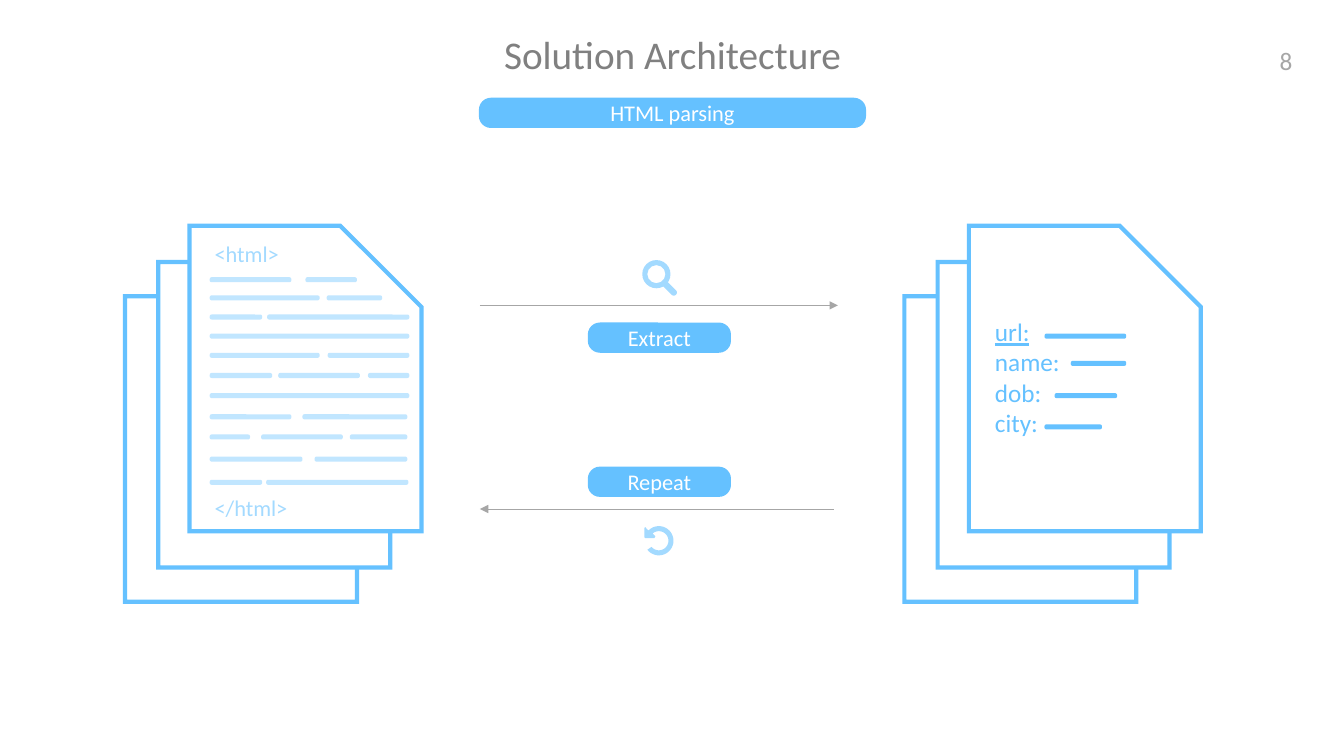
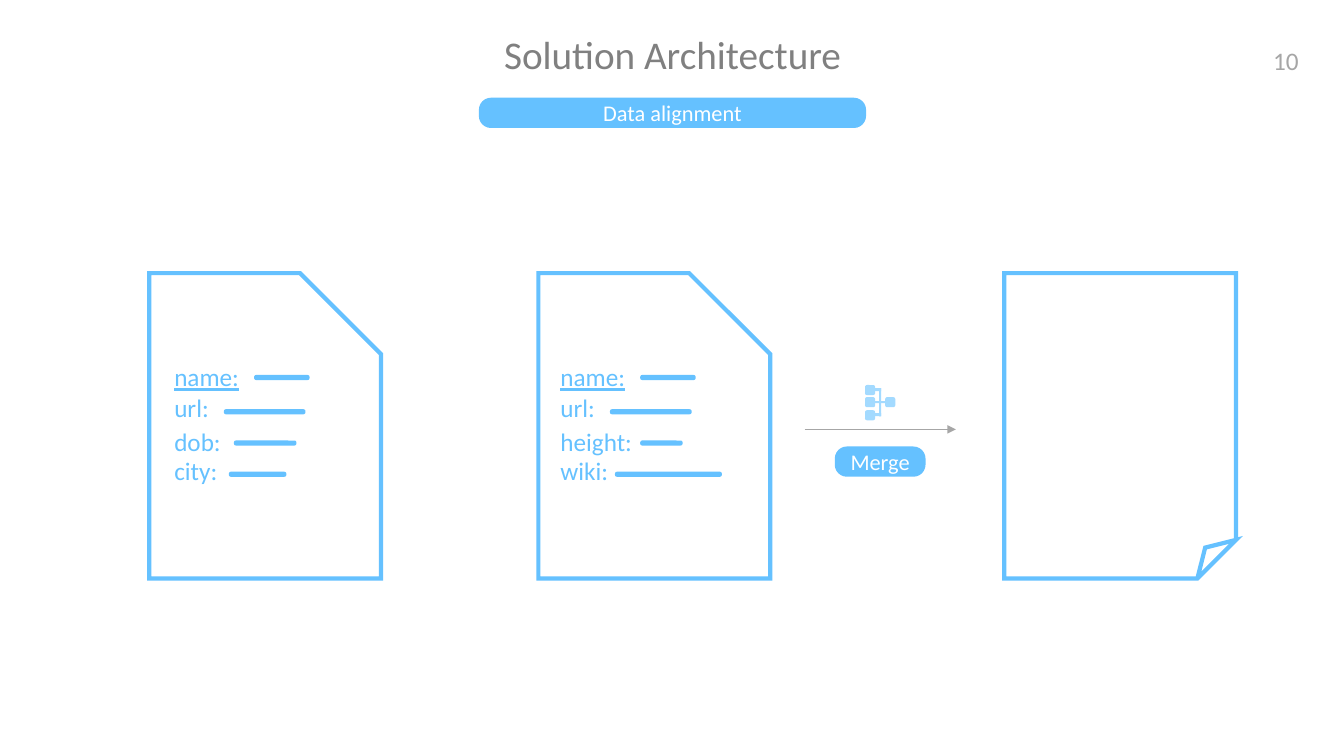
from math import cos, sin, radians

from lxml.etree import SubElement
from pptx import Presentation
from pptx.dml.color import RGBColor
from pptx.enum.shapes import MSO_CONNECTOR as LINK, MSO_SHAPE as SHAPE
from pptx.enum.text import MSO_ANCHOR as ANCHOR, PP_ALIGN as ALIGN
from pptx.oxml.ns import qn
from pptx.util import Pt

PX = 9144
FONT = "Calibri"
BLUE = RGBColor(0x65, 0xC1, 0xFF)
SKY = RGBColor(0xA3, 0xDA, 0xFF)
PALE = RGBColor(0xC1, 0xE6, 0xFF)
GRAY = RGBColor(0x80, 0x80, 0x80)
SILVER = RGBColor(0xA6, 0xA6, 0xA6)
WHITE = RGBColor(0xFF, 0xFF, 0xFF)

PAGE_W, PAGE_H = 230, 303
BAR_H = 5
PILL_H = 30
ROUND = 0.4

CODE = [
    (275, [(208, 81), (303, 51)]),
    (293, [(208, 109), (324, 55)]),
    (312, [(208, 52), (265, 141)]),
    (331, [(208, 198)]),
    (350, [(208, 109), (325, 81)]),
    (370, [(208, 62), (276, 81), (365, 41)]),
    (390, [(208, 198)]),
    (411, [(208, 81), (300, 104)]),
    (431, [(208, 40), (259, 81), (347, 57)]),
    (453, [(208, 92), (312, 92)]),
    (476, [(208, 52), (264, 141)]),
]
VALUES = [(1036, 331, 81), (1062, 358, 55), (1046, 390, 62), (1036, 421, 57)]
TOPS = [(354, 372), (384, 406), (418, 437), (447, 468)]
PERSON = [("name:", 89, 55), ("url:", 59, 81), ("dob:", 69, 62), ("city:", 64, 57)]
WIKI = [("name:", 89, 55), ("url:", 59, 81), ("height:", 89, 42), ("wiki:", 64, 106)]


def style(par, size, color, align=ALIGN.LEFT):
    par.alignment = align
    par.font.name = FONT
    par.font.size = Pt(size)
    par.font.color.rgb = color


def label(slide, box, lines, size, color, align=ALIGN.LEFT, under=False):
    frame = slide.shapes.add_textbox(*(v * PX for v in box)).text_frame
    frame.word_wrap = True
    frame.text = "\n".join(lines)
    for par in frame.paragraphs:
        style(par, size, color, align)
    if under:
        frame.paragraphs[0].font.underline = True
    return frame


def paint(shape, color):
    shape.shadow.inherit = False
    shape.fill.solid()
    shape.fill.fore_color.rgb = color
    shape.line.fill.background()
    return shape


def block(slide, kind, box, color, adjust=None):
    shape = slide.shapes.add_shape(kind, *(v * PX for v in box))
    if adjust is not None:
        shape.adjustments[0] = adjust
    return paint(shape, color)


def bar(slide, left, top, width, color=BLUE):
    block(slide, SHAPE.ROUNDED_RECTANGLE, (left, top, width, BAR_H), color, ROUND)


def pill(slide, left, top, width, text):
    box = (left, top, width, PILL_H)
    frame = block(slide, SHAPE.ROUNDED_RECTANGLE, box, BLUE, ROUND).text_frame
    frame.vertical_anchor = ANCHOR.MIDDLE
    frame.text = text
    style(frame.paragraphs[0], 16, WHITE, ALIGN.CENTER)


def outline(shape):
    shape.line.color.rgb = BLUE
    shape.line.width = Pt(3)
    SubElement(shape.line._get_or_add_ln(), qn("a:miter"), lim="800000")


def page(slide, left, top):
    box = (left, top, PAGE_W, PAGE_H)
    outline(block(slide, SHAPE.SNIP_1_RECTANGLE, box, WHITE, 0.35))


def stack(slide, left):
    for shift, top in ((0, 294), (33, 260), (64, 224)):
        page(slide, left + shift, top)


def arrow(slide, start, end, top):
    line = slide.shapes.add_connector(
        LINK.STRAIGHT, start * PX, top * PX, end * PX, top * PX)
    line.line.color.rgb = SILVER
    line.line.width = Pt(0.5)
    SubElement(line.line._get_or_add_ln(), qn("a:tailEnd"), type="triangle")
    SubElement(line._element.spPr, qn("a:effectLst"))


def lens(slide):
    block(slide, SHAPE.DONUT, (637, 258, 28, 28), SKY, 0.18)
    grip = block(slide, SHAPE.ROUNDED_RECTANGLE, (655, 283, 18, 6), SKY, ROUND)
    grip.rotation = 45


def arc(mid, radius, start, end, steps=36):
    turns = [radians(start + (end - start) * i / steps) for i in range(steps + 1)]
    return [(mid[0] + radius * cos(t), mid[1] + radius * sin(t)) for t in turns]


def redo(slide):
    mid = (653.5, 536.5)
    tip = [(640, 523), (639, 524), (639, 533), (640, 534),
           (649, 534), (650, 532), (647, 529)]
    dots = arc(mid, 14.5, 142, -136) + tip + arc(mid, 9.5, -133, 140)
    dots = [(x * PX, y * PX) for x, y in dots]
    form = slide.shapes.build_freeform(*dots[0])
    form.add_line_segments(dots[1:])
    paint(form.convert_to_shape(), SKY)


def tree(slide):
    for left, top in ((858, 382), (858, 394), (858, 407), (878, 394)):
        block(slide, SHAPE.ROUNDED_RECTANGLE, (left, top, 10, 10), SKY, 0.2)
    for box in ((872, 385, 2, 28), (867, 385, 7, 3), (867, 398, 12, 2),
                (867, 410, 7, 3)):
        block(slide, SHAPE.RECTANGLE, box, SKY)


def card(slide, left, inset, rows):
    page(slide, left, 271)
    for i, ((name, shift, width), (top, mark)) in enumerate(zip(rows, TOPS)):
        label(slide, (inset, top, 92, 40), [name], 18, BLUE, under=i == 0)
        bar(slide, inset + shift, mark, width)


def base(deck, topic, number):
    slide = deck.slides.add_slide(deck.slide_layouts[6])
    title = label(slide, (193, 30, 948, 44), ["Solution Architecture"], 28,
                  GRAY, ALIGN.CENTER)
    title.paragraphs[0].line_spacing = 0.9
    pill(slide, 475, 97, 384, topic)
    label(slide, (1247, 40, 57, 40), [number], 18, SILVER, ALIGN.CENTER)
    return slide


def parsing(deck):
    slide = base(deck, "HTML parsing", "8")
    stack(slide, 124)
    stack(slide, 897)
    for top, spans in CODE:
        for left, width in spans:
            bar(slide, left, top, width, PALE)
    for tag, top in (("<html>", 233), ("</html>", 485)):
        label(slide, (203, top, 105, 37), [tag], 16, SKY)
    label(slide, (977, 309, 92, 131), ["url:", "name:", "dob:", "city:"], 18,
          BLUE, under=True)
    for value in VALUES:
        bar(slide, *value)
    lens(slide)
    arrow(slide, 476, 831, 303)
    pill(slide, 583, 320, 142, "Extract")
    pill(slide, 583, 463, 142, "Repeat")
    arrow(slide, 827, 476, 505)
    redo(slide)


def merging(deck):
    slide = base(deck, "Data alignment", "10")
    card(slide, 148, 163, PERSON)
    card(slide, 534, 546, WIKI)
    sheet = block(slide, SHAPE.FOLDED_CORNER, (996, 271, PAGE_W, PAGE_H), WHITE)
    sheet.fill.background()
    outline(sheet)
    tree(slide)
    arrow(slide, 798, 948, 426)
    pill(slide, 828, 443, 90, "Merge")


def main():
    deck = Presentation()
    deck.slide_width = 1333 * PX
    deck.slide_height = 750 * PX
    parsing(deck)
    merging(deck)
    deck.save("out.pptx")


if __name__ == "__main__":
    main()
